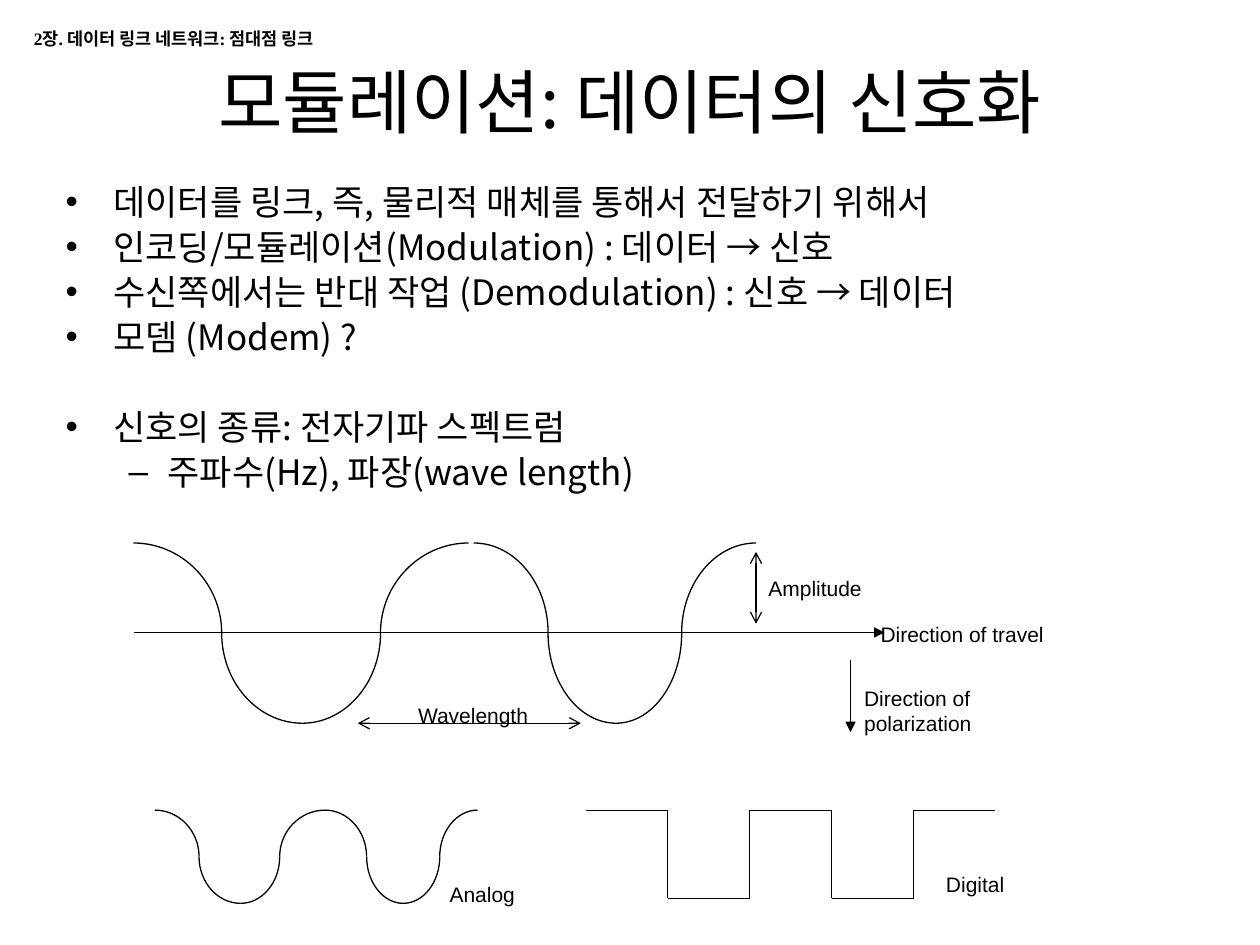
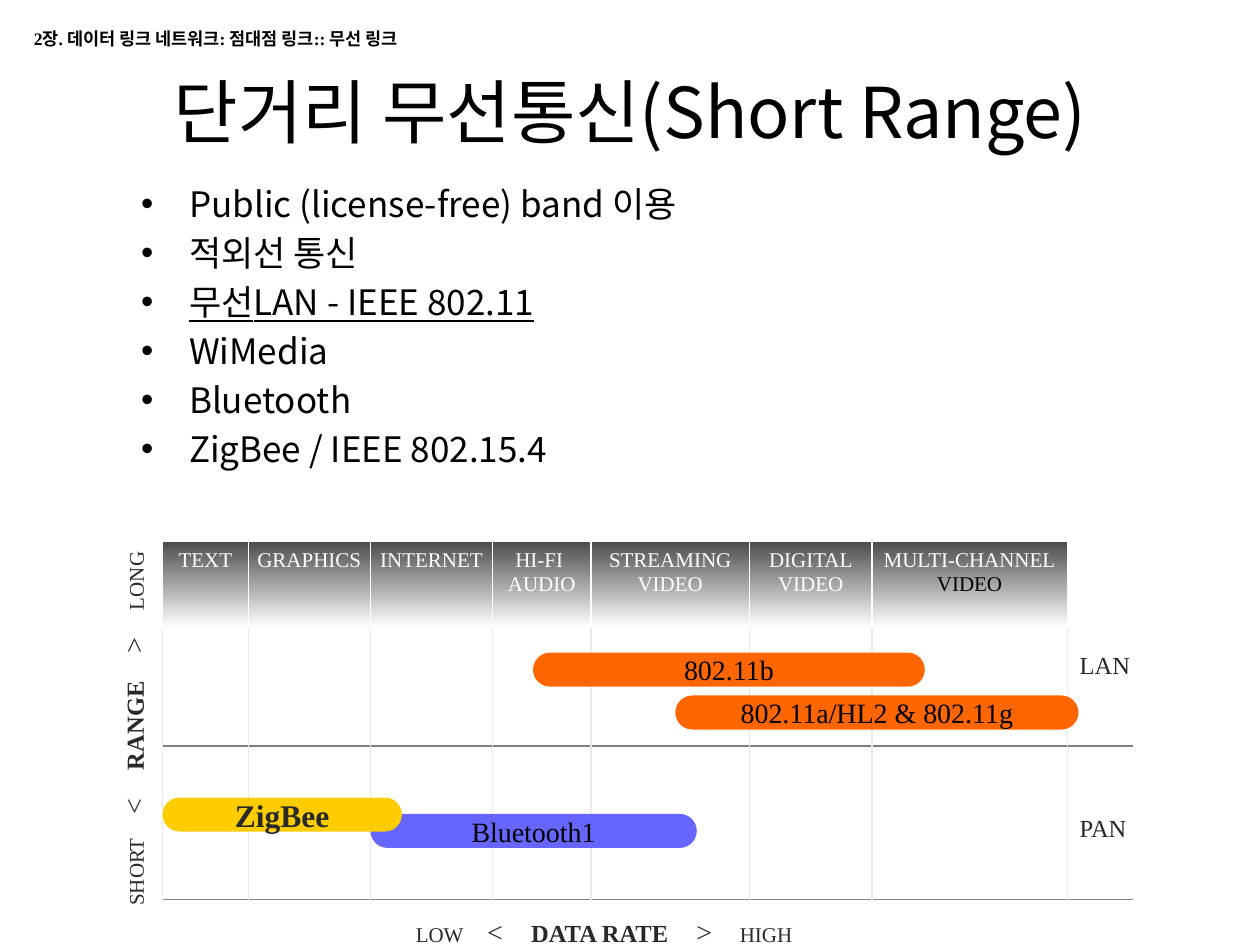
from lxml import etree
from pptx import Presentation
from pptx.dml.color import RGBColor
from pptx.enum.shapes import MSO_CONNECTOR, MSO_SHAPE
from pptx.enum.text import MSO_ANCHOR, MSO_AUTO_SIZE, PP_ALIGN
from pptx.oxml.ns import qn
from pptx.util import Inches, Pt

STRAIGHT = MSO_CONNECTOR.STRAIGHT
RECTANGLE, PILL = MSO_SHAPE.RECTANGLE, MSO_SHAPE.ROUNDED_RECTANGLE
TOP, MIDDLE = MSO_ANCHOR.TOP, MSO_ANCHOR.MIDDLE
LEFT, CENTER = PP_ALIGN.LEFT, PP_ALIGN.CENTER
NO_AUTOFIT = MSO_AUTO_SIZE.NONE

BLACK = RGBColor(0x00, 0x00, 0x00)
WHITE = RGBColor(0xFF, 0xFF, 0xFF)
INK = RGBColor(0x29, 0x29, 0x29)
DARK_GRAY = RGBColor(0x4D, 0x4D, 0x4D)
MID_GRAY = RGBColor(0x80, 0x80, 0x80)
PALE_GRAY = RGBColor(0xEA, 0xEA, 0xEA)
ORANGE = RGBColor(0xFF, 0x66, 0x00)
YELLOW = RGBColor(0xFF, 0xCC, 0x00)
VIOLET = RGBColor(0x66, 0x66, 0xFF)

KOREAN, SERIF, SANS = "Noto Sans CJK KR", "Times New Roman", "Arial"

# Slide texts; each bullet is (level, text, underlined, starts a new group)
MODULATION = {
    "chapter": "2장. 데이터 링크 네트워크: 점대점 링크",
    "title": "모듈레이션: 데이터의 신호화",
    "title_top": 0.42,
    "body_box": (0.42, 1.42, 9.17, 5.83),
    "body_inset": 0.01,
    "line_pitch": 24,
    "line_gap": 1.7,
    "bullets": [
        (0, "데이터를 링크, 즉, 물리적 매체를 통해서 전달하기 위해서", False, False),
        (0, "인코딩/모듈레이션(Modulation) : 데이터 → 신호", False, False),
        (0, "수신쪽에서는 반대 작업 (Demodulation) : 신호 → 데이터", False, False),
        (0, "모뎀 (Modem) ?", False, False),
        (0, "신호의 종류: 전자기파 스펙트럼", False, True),
        (1, "주파수(Hz), 파장(wave length)", False, False),
    ],
}
SHORT_RANGE = {
    "chapter": "2장. 데이터 링크 네트워크: 점대점 링크:: 무선 링크",
    "title": "단거리 무선통신(Short Range)",
    "title_top": 0.5,
    "body_box": (1.02, 1.39, 8.58, 2.5),
    "body_inset": 0.03,
    "line_pitch": 26,
    "line_gap": 2,
    "bullets": [
        (0, "Public (license-free) band 이용", False, False),
        (0, "적외선 통신", False, False),
        (0, "무선LAN - IEEE 802.11", True, False),
        (0, "WiMedia", False, False),
        (0, "Bluetooth", False, False),
        (0, "ZigBee / IEEE 802.15.4", False, False),
    ],
}
INDENTS = [(0.38, -0.38), (0.81, -0.31)]

# Waves: top, bottom, then cycles as peak, crossing, trough, crossing, peak
WAVES = [
    (4.31, 5.74, [(1.06, 1.76, 2.4, 3.02, 3.72), (3.76, 4.35, 4.89, 5.41, 6)]),
    (6.43, 7.17, [(1.23, 1.58, 1.91, 2.22, 2.58), (2.58, 2.91, 3.2, 3.49, 3.79)]),
]
QUARTER_ARC = 0.55  # Bezier handle length for a quarter ellipse
# Start, end, head, tail
WAVE_ARROWS = [
    ((1.06, 5.02), (7.02, 5.02), None, "triangle"),
    ((2.84, 5.74), (4.61, 5.74), "arrow", "arrow"),
    ((6, 4.95), (6, 4.38), "arrow", "arrow"),
    ((6.75, 5.24), (6.75, 5.81), None, "triangle"),
]
WAVE_LABELS = [
    ("Direction of travel", (6.89, 4.88, 1.77, 0.21)),
    ("Wavelength", (3.22, 5.53, 1.27, 0.21)),
    ("Amplitude", (6, 4.52, 1.01, 0.21)),
    ("Direction of polarization", (6.76, 5.39, 1.28, 0.26)),
    ("Analog", (3.47, 6.95, 1, 0.26)),
    ("Digital", (7.41, 6.87, 1, 0.26)),
]
DIGITAL_LEFT, DIGITAL_STEP, DIGITAL_HIGH, DIGITAL_LOW = 4.65, 0.65, 6.43, 7.13
DIGITAL_BITS = [1, 0, 1, 0, 1]

# Range and data-rate chart
MEDIA = [["TEXT"], ["GRAPHICS"], ["INTERNET"], ["HI-FI ", "AUDIO"],
         ["STREAMING", "VIDEO"], ["DIGITAL", "VIDEO"], ["MULTI-CHANNEL", "VIDEO"]]
MEDIA_EDGES = [1.29, 1.97, 2.94, 3.91, 4.69, 5.95, 6.92, 8.47]
CHART_TOP, CHART_BOTTOM, CHART_RIGHT, MEDIA_HEIGHT = 4.3, 7.14, 8.99, 0.68
LAN_BOTTOM = 5.92
ZONES = [("PAN", 6.4), ("LAN", 5.11)]
PILL_HEIGHT = 0.27
TECHNOLOGIES = [  # label, left, top, width, fill, size, colour, bold
    ("Bluetooth1", 2.94, 6.46, 2.59, VIOLET, 16, BLACK, False),
    ("ZigBee", 1.29, 6.33, 1.9, YELLOW, 18, INK, True),
    ("802.11b", 4.23, 5.18, 3.11, ORANGE, 16, BLACK, False),
    ("802.11a/HL2 & 802.11g", 5.36, 5.52, 3.2, ORANGE, 16, BLACK, False),
]
AXES = [  # words, centre of each word along the axis, box, rotation, top inset
    (["SHORT", "<", "RANGE", ">", "LONG"], [0.28, 0.8, 1.44, 2.08, 2.59],
     (-0.4, 5.59, 2.84, 0.38), 270, 0.09),
    (["LOW", "<", "DATA RATE", ">", "HIGH"], [0.81, 1.25, 2.08, 2.91, 3.4],
     (2.68, 7.21, 4.24, 0.34), 0, 0.05),
]
AXIS_SIZES = [12, 16, 14, 16, 12]


def inches(values):
    return [Inches(value) for value in values]


def style_run(run, size, face, color=BLACK, bold=False, underline=None):
    """Format a run; Hangul always takes the Korean face."""
    font = run.font
    font.size, font.name, font.bold = Pt(size), face, bold
    font.underline = underline
    font.color.rgb = color
    properties = run._r.get_or_add_rPr()
    if face == KOREAN:
        properties.set("kern", "0")
    east_asian = etree.Element(qn("a:ea"), typeface=KOREAN)
    properties.find(qn("a:latin")).addnext(east_asian)


def write_lines(shape, lines, size, face, color=BLACK, bold=False, align=LEFT):
    frame = shape.text_frame
    frame.text = "\n".join(lines)
    for paragraph in frame.paragraphs:
        paragraph.alignment = align
        style_run(paragraph.runs[0], size, face, color, bold)


def add_label(slide, text, box, size, face, color=BLACK, bold=False):
    label = slide.shapes.add_textbox(*inches(box))
    label.text_frame.word_wrap = True
    write_lines(label, [text], size, face, color, bold)


def add_line(slide, start, end, color=BLACK, head=None, tail=None):
    line = slide.shapes.add_connector(STRAIGHT, *inches(start + end))
    line.line.color.rgb = color
    line.line.width = Pt(0.75)
    outline = line.line._get_or_add_ln()
    for tag, kind in (("a:headEnd", head), ("a:tailEnd", tail)):
        if kind:
            etree.SubElement(outline, qn(tag), type=kind)
    etree.SubElement(line._element.spPr, qn("a:effectLst"))


def add_block(slide, kind, box, anchor):
    block = slide.shapes.add_shape(kind, *inches(box))
    block.shadow.inherit = False
    block.text_frame.word_wrap = False
    block.text_frame.vertical_anchor = anchor
    return block


def add_content_slide(deck, content):
    """Add a slide with its title, bullets and chapter line."""
    slide = deck.slides.add_slide(deck.slide_layouts[1])
    title, body = slide.placeholders
    title.left, title.top, title.width, title.height = inches(
        (0.75, content["title_top"], 8.5, 0.75))
    title.text_frame.vertical_anchor = MIDDLE
    title.text_frame.auto_size = NO_AUTOFIT
    write_lines(title, [content["title"]], 40, KOREAN, align=CENTER)

    body.left, body.top, body.width, body.height = inches(content["body_box"])
    frame = body.text_frame
    frame.auto_size = NO_AUTOFIT
    frame.margin_top = Inches(content["body_inset"])
    pitch, gap = content["line_pitch"], content["line_gap"]
    frame.text = "\n".join(text for _, text, _, _ in content["bullets"])
    for index, (paragraph, bullet) in enumerate(zip(frame.paragraphs, content["bullets"])):
        level, _, underlined, new_group = bullet
        paragraph.level = level
        margin, indent = inches(INDENTS[level])
        properties = paragraph._p.get_or_add_pPr()
        properties.set("marL", str(margin))
        properties.set("indent", str(indent))
        paragraph.line_spacing = Pt(pitch)
        before = gap + (pitch + gap if new_group else 0)
        paragraph.space_before = Pt(before if index else 0)
        style_run(paragraph.runs[0], 20, KOREAN, underline=underlined)
    add_label(slide, content["chapter"], (0.17, 0.17, 4.42, 0.27), 10, SERIF, bold=True)
    return slide


def add_quarter_wave(slide, extreme, crossing):
    """Draw a quarter ellipse from a peak or trough to the wave's middle line."""
    builder = slide.shapes.build_freeform(*inches(extreme))
    builder.add_line_segments([inches(crossing)], close=False)
    curve = builder.convert_to_shape()
    curve.shadow.inherit = False
    curve.fill.background()
    curve.line.color.rgb = BLACK
    curve.line.width = Pt(0.75)

    segment = next(curve._element.iter(qn("a:lnTo")))
    (x0, y0), (x1, y1) = [
        (int(point.get("x")), int(point.get("y")))
        for point in curve._element.iter(qn("a:pt"))]
    handles = [(x0 + (x1 - x0) * QUARTER_ARC, y0), (x1, y1 + (y0 - y1) * QUARTER_ARC)]
    bend = etree.Element(qn("a:cubicBezTo"))
    for x, y in handles + [(x1, y1)]:
        etree.SubElement(bend, qn("a:pt"), x=str(round(x)), y=str(round(y)))
    segment.getparent().replace(segment, bend)


def add_waves(slide):
    for top, bottom, cycles in WAVES:
        middle = (top + bottom) / 2
        for peak, falling, trough, rising, next_peak in cycles:
            for x, y, crossing in ((peak, top, falling), (trough, bottom, falling),
                                   (trough, bottom, rising), (next_peak, top, rising)):
                add_quarter_wave(slide, (x, y), (crossing, middle))


def add_digital_signal(slide):
    for index, bit in enumerate(DIGITAL_BITS):
        left = DIGITAL_LEFT + index * DIGITAL_STEP
        level = DIGITAL_HIGH if bit else DIGITAL_LOW
        add_line(slide, (left, level), (left + DIGITAL_STEP, level))
        if index:
            add_line(slide, (left, DIGITAL_LOW), (left, DIGITAL_HIGH))


def add_axis(slide, words, centres, box, rotation, top_inset):
    """Write the axis words on centred tab stops."""
    axis = slide.shapes.add_textbox(*inches(box))
    axis.rotation = rotation
    frame = axis.text_frame
    frame.word_wrap = True
    frame.margin_left = frame.margin_right = 0
    frame.margin_top = Inches(top_inset)
    paragraph = frame.paragraphs[0]
    stops = etree.SubElement(paragraph._p.get_or_add_pPr(), qn("a:tabLst"))
    for word, centre, size in zip(words, centres, AXIS_SIZES):
        etree.SubElement(stops, qn("a:tab"), pos=str(Inches(centre)), algn="ctr")
        run = paragraph.add_run()
        run.text = "\t" + word
        style_run(run, size, SERIF, INK, bold=size == 14)


def add_range_chart(slide):
    left = MEDIA_EDGES[0]
    for y in (LAN_BOTTOM, CHART_BOTTOM):
        add_line(slide, (left, y), (CHART_RIGHT, y), MID_GRAY)
    for axis in AXES:
        add_axis(slide, *axis)
    for zone, top in ZONES:
        add_label(slide, zone, (MEDIA_EDGES[-1], top, 0.78, 0.31), 14, SERIF, INK)
    for x in MEDIA_EDGES:
        add_line(slide, (x, CHART_BOTTOM), (x, CHART_TOP), PALE_GRAY)

    for lines, start, end in zip(MEDIA, MEDIA_EDGES, MEDIA_EDGES[1:]):
        heading = add_block(slide, RECTANGLE,
                            (start, CHART_TOP, end - start, MEDIA_HEIGHT), TOP)
        heading.fill.gradient()
        heading.fill.gradient_angle = 270
        for stop, color in zip(heading.fill.gradient_stops, (DARK_GRAY, WHITE)):
            stop.color.rgb = color
        heading.line.color.rgb = WHITE
        heading.line.width = Pt(0.75)
        write_lines(heading, lines, 12, SERIF, WHITE, align=CENTER)
        for paragraph in heading.text_frame.paragraphs:
            paragraph.line_spacing = 0.95
    heading.text_frame.paragraphs[-1].runs[0].font.color.rgb = BLACK

    for label, x, y, width, fill, size, color, bold in TECHNOLOGIES:
        pill = add_block(slide, PILL, (x, y, width, PILL_HEIGHT), MIDDLE)
        pill.adjustments[0] = 0.5
        pill.fill.solid()
        pill.fill.fore_color.rgb = fill
        pill.line.fill.background()
        write_lines(pill, [label], size, SERIF, color, bold, CENTER)


def main():
    deck = Presentation()
    deck.slide_width, deck.slide_height = Inches(10), Inches(7.5)

    modulation = add_content_slide(deck, MODULATION)
    add_waves(modulation)
    for start, end, head, tail in WAVE_ARROWS:
        add_line(modulation, start, end, head=head, tail=tail)
    add_digital_signal(modulation)
    for text, box in WAVE_LABELS:
        add_label(modulation, text, box, 12, SANS)

    add_range_chart(add_content_slide(deck, SHORT_RANGE))
    deck.save("out.pptx")


if __name__ == "__main__":
    main()
